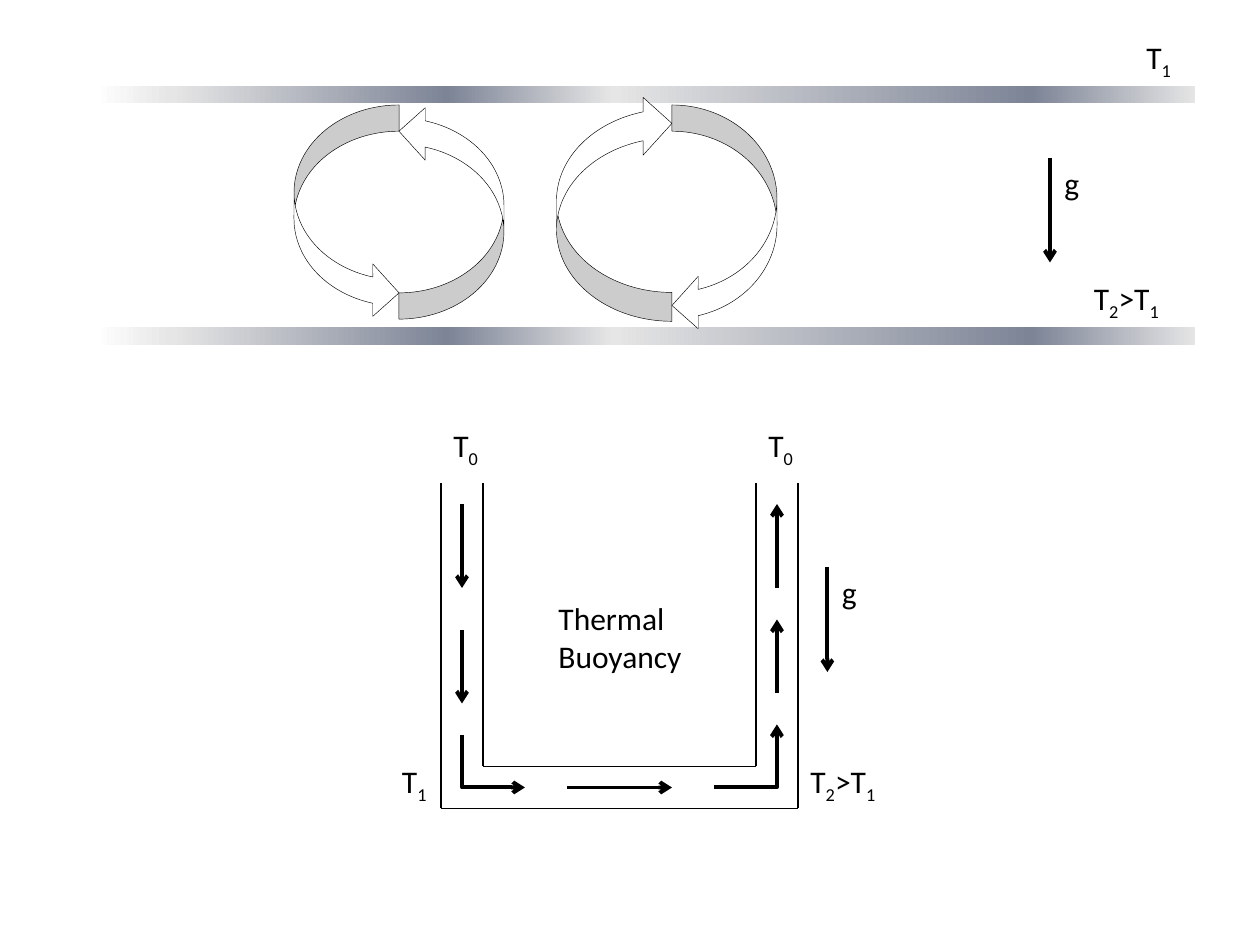
from typing import NamedTuple

from lxml.etree import SubElement
from pptx import Presentation
from pptx.dml.color import RGBColor
from pptx.enum.shapes import MSO_CONNECTOR as Connector, MSO_SHAPE as Shape
from pptx.enum.text import MSO_AUTO_SIZE as AutoSize
from pptx.oxml.ns import qn
from pptx.util import Emu, Pt

PX = 914400 // 120
BLACK, WHITE = "000000", "FFFFFF"
PLATE_STOPS = [(0, WHITE), (7, "E6E6E6"), (32, "7D8496"),
               (47, "E6E6E6"), (85, "7D8496"), (100, "E6E6E6")]


class Swirl(NamedTuple):
    left: int
    top: int
    width: int
    height: int
    rotation: int = 0
    flips: str = ""


class Stroke(NamedTuple):
    x1: int
    y1: int
    x2: int
    y2: int


class Bend(NamedTuple):
    stroke: Stroke
    rotation: int = 0


class Label(NamedTuple):
    text: str
    left: int
    top: int
    width: int
    height: int = 48
    wrap: bool = False


PLATE_TOPS = [80, 310]
SWIRLS = [
    Swirl(280, 100, 100, 204),
    Swirl(380, 100, 100, 204, flips="HV"),
    Swirl(530, 90, 110, 216, 180, "H"),
    Swirl(640, 100, 100, 216, 180, "V"),
]
PIPE_WALLS = [
    Stroke(420, 460, 420, 770),
    Stroke(460, 460, 460, 730),
    Stroke(760, 770, 420, 770),
    Stroke(720, 730, 460, 730),
    Stroke(720, 460, 720, 730),
    Stroke(760, 460, 760, 770),
]
ARROWS = [
    Stroke(1000, 150, 1000, 250),
    Stroke(440, 480, 440, 560),
    Stroke(440, 600, 440, 670),
    Stroke(540, 750, 640, 750),
    Stroke(740, 660, 740, 590),
    Stroke(740, 560, 740, 480),
    Stroke(788, 540, 788, 640),
]
BENDS = [
    Bend(Stroke(440, 700, 500, 750)),
    Bend(Stroke(740, 750, 680, 690), 90),
]
LABELS = [
    Label("T|1", 1080, 30, 49),
    Label("T|2|>T|1", 1030, 260, 100, wrap=True),
    Label("g", 1002, 150, 38),
    Label("T|0", 420, 400, 49),
    Label("T|0", 720, 400, 49),
    Label("T|1", 371, 720, 49),
    Label("T|2|>T|1", 760, 720, 100, wrap=True),
    Label("g", 790, 540, 38),
    Label("Thermal\nBuoyancy", 520, 565, 143, 85),
]


def px(*lengths: int) -> list[Emu]:
    return [Emu(length * PX) for length in lengths]


def color(value: str) -> RGBColor:
    return RGBColor.from_string(value)


def set_line(shape, value: str, width: float) -> None:
    shape.line.color.rgb = color(value)
    shape.line.width = Pt(width)


def draw_plate(slide, top: int) -> None:
    plate = slide.shapes.add_shape(Shape.RECTANGLE, *px(90, top, 1050, 20))
    plate.shadow.inherit = False
    plate.fill.gradient()
    plate.fill.gradient_angle = 0
    stops = next(plate._element.spPr.iter(qn("a:gsLst")))
    for stop in list(stops):
        stops.remove(stop)
    for percent, value in PLATE_STOPS:
        stop = SubElement(stops, qn("a:gs"), pos=str(percent * 1000))
        SubElement(stop, qn("a:srgbClr"), val=value)
    set_line(plate, WHITE, 2)


def draw_swirl(slide, swirl: Swirl) -> None:
    arrow = slide.shapes.add_shape(Shape.CURVED_RIGHT_ARROW, *px(*swirl[:4]))
    arrow.shadow.inherit = False
    arrow.rotation = swirl.rotation
    for axis in swirl.flips:
        arrow._element.spPr.find(qn("a:xfrm")).set("flip" + axis, "1")
    arrow.fill.solid()
    arrow.fill.fore_color.rgb = color(WHITE)
    set_line(arrow, BLACK, 0.25)


def draw_stroke(slide, stroke: Stroke, width: float, arrowhead: bool,
                kind=Connector.STRAIGHT):
    connector = slide.shapes.add_connector(kind, *px(*stroke))
    set_line(connector, BLACK, width)
    if arrowhead:
        SubElement(connector.line._get_or_add_ln(), qn("a:tailEnd"), type="arrow")
    SubElement(connector._element.spPr, qn("a:effectLst"))
    return connector


def draw_bend(slide, bend: Bend) -> None:
    connector = draw_stroke(slide, bend.stroke, 2.25, True, Connector.ELBOW)
    properties = connector._element.spPr
    properties.find(qn("a:xfrm")).set("rot", str(bend.rotation * 60000))
    guides = next(properties.iter(qn("a:avLst")))
    SubElement(guides, qn("a:gd"), name="adj1", fmla="val 0")


def draw_label(slide, label: Label) -> None:
    box = slide.shapes.add_textbox(*px(*label[1:5]))
    frame = box.text_frame
    frame.word_wrap = label.wrap
    frame.auto_size = AutoSize.SHAPE_TO_FIT_TEXT
    for row, line in enumerate(label.text.split("\n")):
        paragraph = frame.add_paragraph() if row else frame.paragraphs[0]
        paragraph.font.name = "Calibri"
        paragraph.font.size = Pt(18)
        paragraph.font.color.rgb = color(BLACK)
        for index, part in enumerate(line.split("|")):
            run = paragraph.add_run()
            run.text = part
            if index % 2:
                run.font._element.set("baseline", "-25000")


def main() -> None:
    deck = Presentation()
    deck.slide_width, deck.slide_height = px(1200, 900)
    slide = deck.slides.add_slide(deck.slide_layouts[6])
    for top in PLATE_TOPS:
        draw_plate(slide, top)
    for swirl in SWIRLS:
        draw_swirl(slide, swirl)
    for wall in PIPE_WALLS:
        draw_stroke(slide, wall, 1, False)
    for arrow in ARROWS:
        draw_stroke(slide, arrow, 2.25, True)
    for bend in BENDS:
        draw_bend(slide, bend)
    for label in LABELS:
        draw_label(slide, label)
    deck.save("out.pptx")


if __name__ == "__main__":
    main()
